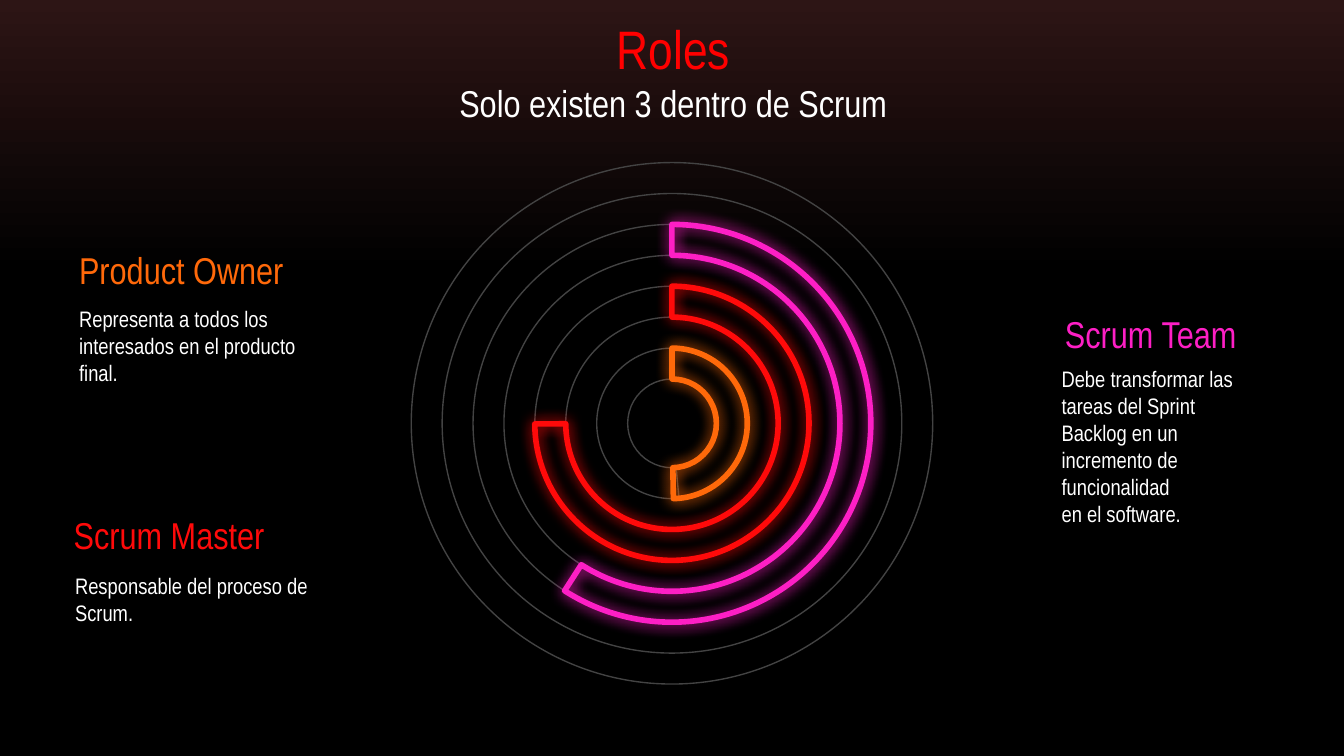
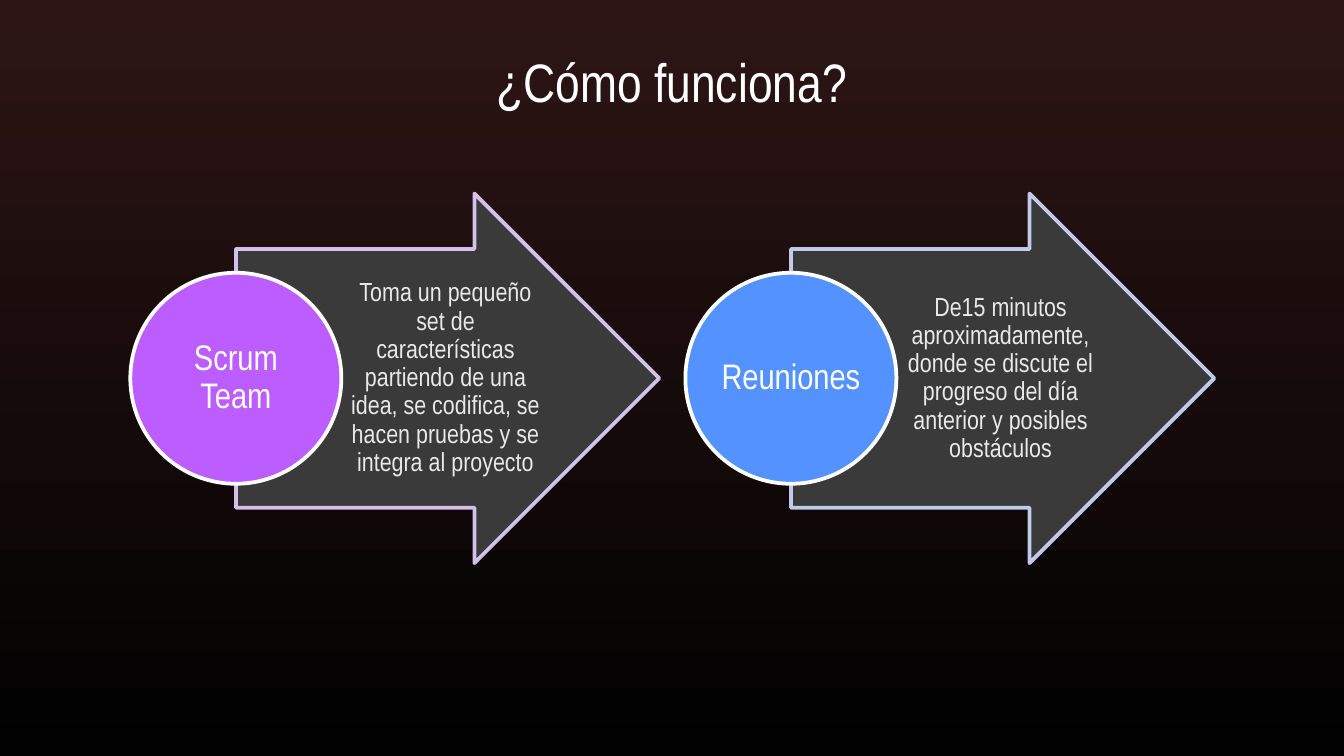
import dataclasses

import lxml.etree
import pptx
import pptx.dml.color
import pptx.enum.shapes
import pptx.enum.text
import pptx.oxml.ns
import pptx.util

qn = pptx.oxml.ns.qn
Kind = pptx.enum.shapes.MSO_SHAPE
Align = pptx.enum.text.PP_ALIGN
WIDTH, HEIGHT = pptx.util.Inches(10), pptx.util.Inches(5.625)
CELL = WIDTH / 100  # square grid: 100 columns, 56.25 rows


@dataclasses.dataclass(frozen=True)
class Theme:
    font: str = "Arial Narrow"
    white: str = "FFFFFF"
    title: str = "FF0000"
    dusk: str = "2D1515"
    black: str = "000000"
    night: str = "010101"
    ring: str = "434343"
    owner: str = "FF690A"
    master: str = "FF0A0A"
    team: str = "FD1FC5"
    arrow: str = "3A3A3A"
    pale: str = "E9E9E9"
    lilac: str = "E7D2FF"
    sky: str = "D1DCFF"
    purple: str = "BC5DFF"
    blue: str = "5493FF"
    title_size: float = 29
    head_size: float = 20
    label_size: float = 19
    step_size: float = 14
    body_size: float = 12


T = Theme()


def rgb(code):
    return pptx.dml.color.RGBColor.from_string(code)


def grid(*cells):
    return [pptx.util.Emu(round(n * CELL)) for n in cells]


def sub(parent, tag, **attrs):
    return lxml.etree.SubElement(parent, qn(tag), attrs)


def style(font, size, color):
    font.name, font.size = T.font, pptx.util.Pt(size)
    font.color.rgb = rgb(color)


def frame(box, pads):
    """Centre the text upright, with pads (left, top, right, bottom)."""
    tf = box.text_frame
    tf.word_wrap = True
    tf.auto_size = pptx.enum.text.MSO_AUTO_SIZE.NONE
    tf.vertical_anchor = pptx.enum.text.MSO_ANCHOR.MIDDLE
    (tf.margin_left, tf.margin_top,
     tf.margin_right, tf.margin_bottom) = grid(*pads)
    return tf


def write(shapes, spot, lines, size, color, align=Align.LEFT, gap=1.0,
          pads=(1, 1, 1, 1)):
    tf = frame(shapes.add_textbox(*grid(*spot)), pads)
    tf.text = lines
    for par in tf.paragraphs:
        par.alignment, par.line_spacing = align, gap
        style(par.font, size, color)


def draw(shapes, kind, spot, line, width, fill=None, adj=()):
    shape = shapes.add_shape(kind, *grid(*spot))
    shape.shadow.inherit = False
    for i, value in enumerate(adj):
        shape.adjustments[i] = value
    if fill:
        shape.fill.solid()
        shape.fill.fore_color.rgb = rgb(fill)
    else:
        shape.fill.background()
    shape.line.color.rgb = rgb(line)
    shape.line.width = pptx.util.Pt(width)
    return shape


def fade(shape, share):
    """Make the outline partly transparent."""
    color = shape.line._ln.find(".//" + qn("a:srgbClr"))
    sub(color, "a:alpha", val=str(share * 1000))


def glow(shape, color):
    effects = shape._element.spPr.find(qn("a:effectLst"))
    shade = sub(effects, "a:outerShdw", blurRad="100000", dist="0", dir="0",
                algn="ctr", rotWithShape="0")
    sub(sub(shade, "a:srgbClr", val=color), "a:alpha", val="100000")


def paint(slide, stops):
    """Give the slide a gradient running from top to bottom."""
    fill = slide.background.fill
    fill.gradient()
    fill.gradient_angle = 270
    bag = slide._element.find(".//" + qn("a:gsLst"))
    for old in list(bag):
        bag.remove(old)
    for share, color in stops:
        stop = sub(bag, "a:gs", pos=str(share * 1000))
        sub(stop, "a:srgbClr", val=color)


def start(deck, spot, stops, lines):
    """Add a slide with its background and title lines (text, size, color)."""
    slide = deck.slides.add_slide(deck.slide_layouts[5])
    paint(slide, stops)
    title = slide.shapes.title
    title.left, title.top, title.width, title.height = grid(*spot)
    par = frame(title, (1, 1, 1, 1)).paragraphs[0]
    par.alignment = Align.CENTER
    for i, (text, size, color) in enumerate(lines):
        if i:
            par.add_line_break()
        run = par.add_run()
        run.text = text
        style(run.font, size, color)
    return slide


def ring_spot(size):
    return 50 - size / 2, 31.5 - size / 2, size, size


def rings(shapes, sizes, band):
    for size in sizes[:-1]:
        draw(shapes, Kind.DONUT, ring_spot(size), T.ring, 0.75,
             adj=[band / size])
    core = draw(shapes, Kind.BLOCK_ARC, ring_spot(sizes[-1]), T.ring, 0.75,
                adj=[161.87, 57.2, band / sizes[-1]])
    core._element.spPr.xfrm.set("flipH", "1")


def arc(shapes, size, band, end, color):
    shape = draw(shapes, Kind.BLOCK_ARC, ring_spot(size), color, 3,
                 adj=[162, end, band / size])
    glow(shape, color)


def roles(deck):
    slide = start(deck, (5.1, 0.9, 90, 8.6),
                  [(0, T.dusk), (36, T.black), (100, T.night)],
                  [("Roles", T.title_size, T.title),
                   ("Solo existen 3 dentro de Scrum", T.head_size, T.white)])
    shapes = slide.shapes
    band = 2.3
    sizes = [38.8 - 4 * band * i for i in range(4)]
    rings(shapes, sizes, band)
    cards = [
        ("Product Owner", T.owner, (4.9, 17.7), Align.LEFT,
         "Representa a todos los interesados en el producto final.",
         (4.9, 21.2, 18.5, 9)),
        ("Scrum Master", T.master, (4.5, 37.4), Align.LEFT,
         "Responsable del proceso de Scrum.", (4.6, 41.4, 21.1, 6.3)),
        ("Scrum Team", T.team, (70.3, 22.5), Align.RIGHT,
         "Debe transformar las tareas del Sprint\n"
         "Backlog en un incremento de funcionalidad\n"
         "en el software.", (78, 26.7, 17.1, 13)),
    ]
    for head, color, corner, align, body, spot in cards:
        write(shapes, (*corner, 22.7, 4.2), head, T.head_size, color, align,
              1.15)
        write(shapes, spot, body, T.body_size, T.white)
    arcs = zip(sizes[1:], (73.59, 107.84, 53.36), (T.team, T.master, T.owner))
    for size, end, color in arcs:
        arc(shapes, size, band, end, color)


def step(shapes, left, label, text, fill, edge):
    """Draw an arrow with its text and a labelled disc on its tail."""
    disc, inner, middle = 15.7, 11.1, 28.15
    inset = (disc - inner) / 2
    arrow = draw(shapes, Kind.RIGHT_ARROW,
                 (left + disc / 2, middle - 13.75, 31.5, 27.5),
                 edge, 2, T.arrow, (0.7, 0.5))
    fade(arrow, 90)
    write(shapes, (left + disc, middle - 9.65, 15.3, 19.3), text,
          T.step_size, T.pale, Align.CENTER, 0.9, (0.4, 0.1, 0.2, 0.1))
    draw(shapes, Kind.OVAL, (left, middle - disc / 2, disc, disc),
         T.white, 2, fill)
    write(shapes, (left + inset, middle - inner / 2, inner, inner), label,
          T.label_size, T.white, Align.CENTER, 0.9, (0.1,) * 4)


def process(deck):
    slide = start(deck, (5, 4.5, 90, 3), [(0, T.dusk), (100, T.night)],
                  [("¿Cómo funciona?", T.title_size, T.white)])
    steps = [
        ("Scrum Team",
         "Toma un pequeño set de características partiendo de una idea, "
         "se codifica, se hacen pruebas y se integra al proyecto",
         T.purple, T.lilac),
        ("Reuniones",
         "De15 minutos aproximadamente, donde se discute el progreso del "
         "día anterior y posibles obstáculos", T.blue, T.sky),
    ]
    group = slide.shapes.add_group_shape()
    for i, item in enumerate(steps):
        step(group.shapes, 9.7 + 41.3 * i, *item)


def main():
    deck = pptx.Presentation()
    deck.slide_width, deck.slide_height = WIDTH, HEIGHT
    roles(deck)
    process(deck)
    deck.save("out.pptx")


if __name__ == "__main__":
    main()
